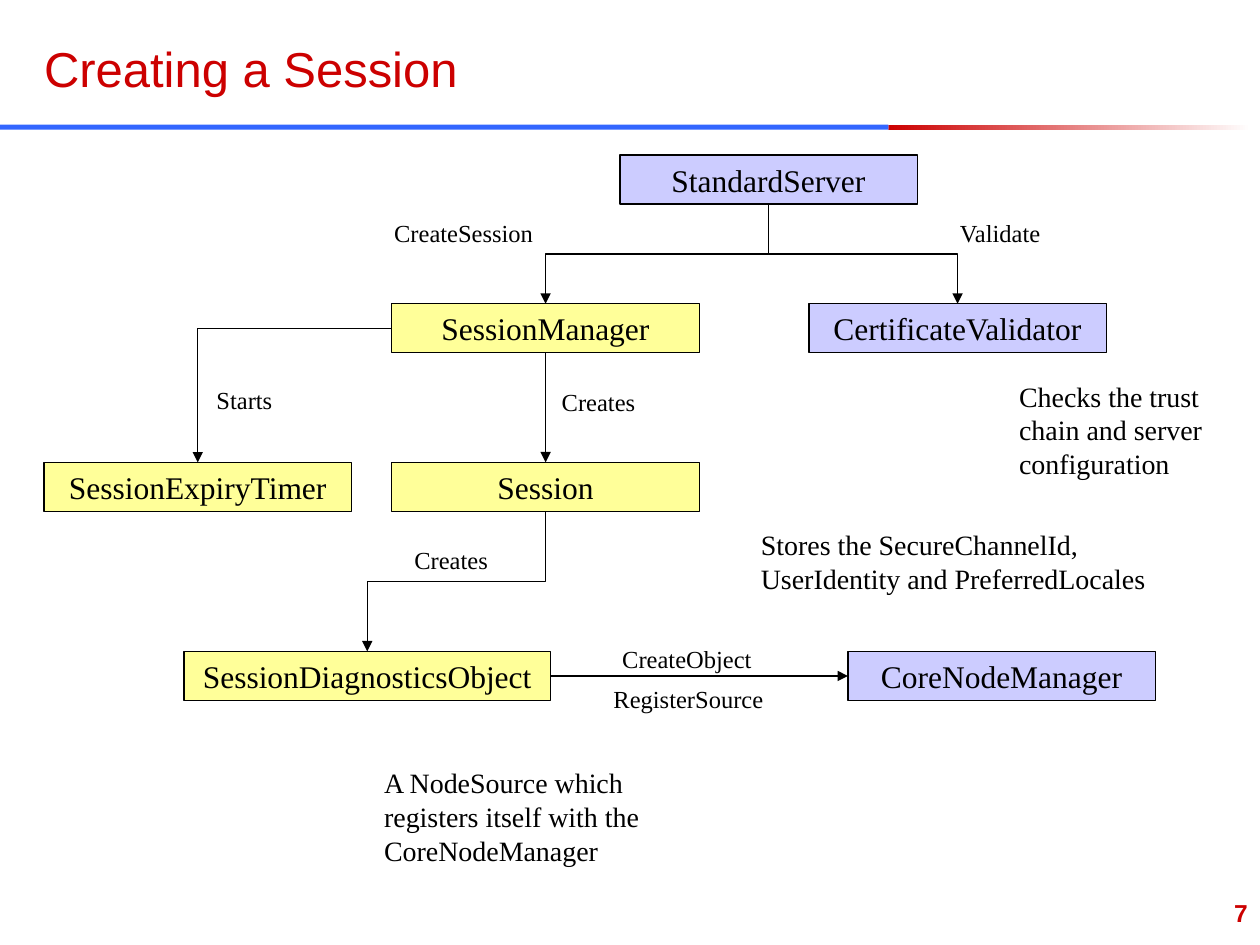
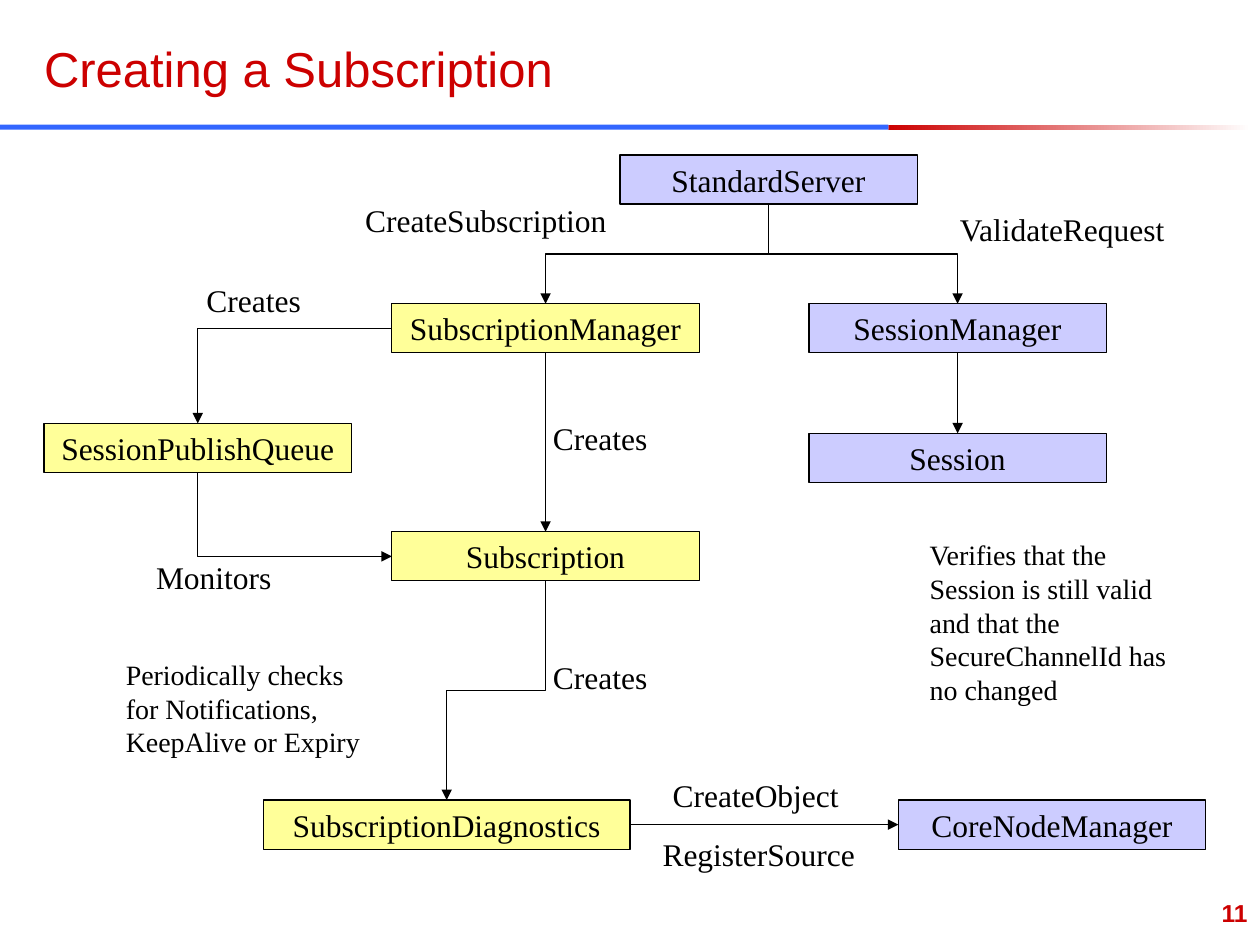
from pptx import Presentation
from pptx.dml.color import RGBColor
from pptx.enum.shapes import MSO_CONNECTOR, MSO_SHAPE
from pptx.enum.text import MSO_ANCHOR, MSO_AUTO_SIZE, PP_ALIGN
from pptx.oxml.ns import qn
from pptx.oxml.xmlchemy import OxmlElement
from pptx.util import Inches, Pt

RECT = MSO_SHAPE.RECTANGLE
STRAIGHT, ELBOW = MSO_CONNECTOR.STRAIGHT, MSO_CONNECTOR.ELBOW
LEFT, CENTER, RIGHT = PP_ALIGN.LEFT, PP_ALIGN.CENTER, PP_ALIGN.RIGHT
TOP_ANCHOR, MIDDLE = MSO_ANCHOR.TOP, MSO_ANCHOR.MIDDLE
FIT_SHAPE = MSO_AUTO_SIZE.SHAPE_TO_FIT_TEXT

COLORS = {
    "red": "CC0000", "blue": "3366FF", "white": "FFFFFF", "black": "000000",
    "existing": "CCCCFF", "created": "FFFF99",
}
SANS, SERIF = "Arial", "Times New Roman"
WIDTH, HEIGHT = 10, 7.5
BAND_TOP, BAND_HEIGHT, BAND_SPLIT, BAND_END = 0.99, 0.04, 7.05, 9.93
BOX_HEIGHT = 0.39
LABEL_SLACK = 0.03
SIDES = {"top": 0, "left": 1, "bottom": 2, "right": 3}

# Column: left edge and width
COLUMNS = {
    "left": (0.35, 2.44), "middle": (3.11, 2.44),
    "server": (4.92, 2.36), "right": (6.42, 2.36),
}
SERVER_TOP, MANAGER_TOP = 1.23, 2.41

# boxes: text, column or (left, width), top, kind
# arrows: from box, side, to box, side
# labels: text, left, top, text width;  notes: text, left, top, width, height
SLIDES = [
    {
        "title": "Creating a Session", "number": "7",
        "boxes": [
            ("StandardServer", "server", SERVER_TOP, "existing"),
            ("SessionManager", "middle", MANAGER_TOP, "created"),
            ("CertificateValidator", "right", MANAGER_TOP, "existing"),
            ("SessionExpiryTimer", "left", 3.67, "created"),
            ("Session", "middle", 3.67, "created"),
            ("SessionDiagnosticsObject", (1.46, 2.91), 5.17, "created"),
            ("CoreNodeManager", (6.73, 2.44), 5.17, "existing"),
        ],
        "arrows": [
            ("StandardServer", "bottom", "SessionManager", "top"),
            ("StandardServer", "bottom", "CertificateValidator", "top"),
            ("SessionManager", "left", "SessionExpiryTimer", "top"),
            ("SessionManager", "bottom", "Session", "top"),
            ("Session", "bottom", "SessionDiagnosticsObject", "top"),
            ("SessionDiagnosticsObject", "right", "CoreNodeManager", "left"),
        ],
        "label_size": 14, "label_height": 0.34,
        "labels": [
            ("CreateSession", 3.03, 1.68, 1.3),
            ("Validate", 7.52, 1.68, 0.86),
            ("Starts", 1.62, 3.01, 0.64),
            ("Creates", 4.36, 3.02, 0.78),
            ("Creates", 3.19, 4.28, 0.78),
            ("CreateObject", 4.84, 5.06, 1.23),
            ("RegisterSource", 4.77, 5.38, 1.39),
        ],
        "notes": [
            ("Checks the trust chain and server configuration",
             7.99, 2.96, 1.69, 0.94),
            ("Stores the SecureChannelId,\nUserIdentity and PreferredLocales",
             5.94, 4.14, 3.39, 0.71),
            ("A NodeSource which registers itself with the CoreNodeManager",
             2.95, 6.03, 2.28, 0.94),
        ],
    },
    {
        "title": "Creating a Subscription", "number": "11",
        "boxes": [
            ("StandardServer", "server", SERVER_TOP, "existing"),
            ("SubscriptionManager", "middle", MANAGER_TOP, "created"),
            ("SessionManager", "right", MANAGER_TOP, "existing"),
            ("SessionPublishQueue", "left", 3.36, "created"),
            ("Session", "right", 3.44, "existing"),
            ("Subscription", "middle", 4.22, "created"),
            ("SubscriptionDiagnostics", (2.09, 2.91), 6.35, "created"),
            ("CoreNodeManager", (7.13, 2.44), 6.35, "existing"),
        ],
        "arrows": [
            ("StandardServer", "bottom", "SubscriptionManager", "top"),
            ("StandardServer", "bottom", "SessionManager", "top"),
            ("SubscriptionManager", "left", "SessionPublishQueue", "top"),
            ("SubscriptionManager", "bottom", "Subscription", "top"),
            ("SessionManager", "bottom", "Session", "top"),
            ("SessionPublishQueue", "bottom", "Subscription", "left"),
            ("Subscription", "bottom", "SubscriptionDiagnostics", "top"),
            ("SubscriptionDiagnostics", "right", "CoreNodeManager", "left"),
        ],
        "label_size": 18, "label_height": 0.4,
        "labels": [
            ("CreateSubscription", 2.8, 1.55, 2.11),
            ("ValidateRequest", 7.52, 1.62, 1.85),
            ("Creates", 1.54, 2.18, 0.95),
            ("Creates", 4.29, 3.28, 0.95),
            ("Monitors", 1.14, 4.38, 1.11),
            ("Creates", 4.29, 5.17, 0.95),
            ("CreateObject", 5.24, 6.11, 1.52),
            ("RegisterSource", 5.16, 6.58, 1.72),
        ],
        "notes": [
            ("Verifies that the Session is still valid and that the "
             "SecureChannelId has no changed", 7.28, 4.22, 2.19, 1.42),
            ("Periodically checks for Notifications, KeepAlive or Expiry",
             0.9, 5.17, 2.13, 1.02),
        ],
    },
]


def rgb(name):
    return RGBColor.from_string(COLORS[name])


def inches(*lengths):
    return [Inches(n) for n in lengths]


def write(sp, text, size, font=SERIF, color="black", align=LEFT,
          anchor=TOP_ANCHOR, wrap=True, bold=False):
    tf = sp.text_frame
    tf.text = text
    tf.word_wrap = wrap
    tf.vertical_anchor = anchor
    for p in tf.paragraphs:
        p.alignment = align
        for r in p.runs:
            r.font.name, r.font.size, r.font.bold = font, Pt(size), bold
            r.font.color.rgb = rgb(color)


def add_text(slide, at, text, size, **style):
    sp = slide.shapes.add_textbox(*inches(*at))
    write(sp, text, size, **style)
    return sp


def add_label(slide, text, left, top, width, height, size):
    """One line of text in a box that grows with it."""
    sp = add_text(slide, (left, top, width + LABEL_SLACK, height), text, size, wrap=False)
    sp.text_frame.auto_size = FIT_SHAPE


def add_rect(slide, *at):
    sp = slide.shapes.add_shape(RECT, *inches(*at))
    sp.shadow.inherit = False
    return sp


def add_frame(slide, title, number):
    """Title, two-part band and page number."""
    fade = add_rect(slide, BAND_SPLIT, BAND_TOP, BAND_END - BAND_SPLIT, BAND_HEIGHT)
    fade.fill.gradient()
    fade.fill.gradient_angle = 0
    for stop, color, position in zip(fade.fill.gradient_stops, ("red", "white"), (0, 1)):
        stop.color.rgb, stop.position = rgb(color), position
    bar = add_rect(slide, 0, BAND_TOP, BAND_SPLIT, BAND_HEIGHT)
    bar.fill.solid()
    bar.fill.fore_color.rgb = rgb("blue")
    for sp in (fade, bar):
        sp.line.fill.background()

    sp = slide.shapes.title
    sp.left, sp.top, sp.width, sp.height = inches(0.25, 0.25, 6.83, 0.58)
    write(sp, title, 28, SANS, "red", anchor=MIDDLE)
    add_text(slide, (WIDTH - 2.08, HEIGHT - 0.42, 2.08, 0.42), number, 14,
             font=SANS, color="red", align=RIGHT, bold=True)


def add_box(slide, text, column, top, kind):
    left, width = COLUMNS.get(column, column)
    sp = add_rect(slide, left, top, width, BOX_HEIGHT)
    sp.fill.solid()
    sp.fill.fore_color.rgb = rgb(kind)
    sp.line.color.rgb, sp.line.width = rgb("black"), Pt(0.75)
    write(sp, text, 18, align=CENTER, anchor=MIDDLE, wrap=False)
    return sp


def turn_down(c):
    """Rotate an elbow so that it leaves its start downwards."""
    x1, y1, x2, y2 = c.begin_x, c.begin_y, c.end_x, c.end_y
    across, down = abs(x2 - x1), y2 - y1
    c.left, c.top = (x1 + x2 - down) // 2, (y1 + y2 - across) // 2
    c.width, c.height = down, across
    xfrm = c.element.spPr.xfrm
    xfrm.rot, xfrm.flipH, xfrm.flipV = 90, False, x2 > x1


def add_arrow(slide, start, start_side, end, end_side):
    same_axis = SIDES[start_side] % 2 == SIDES[end_side] % 2
    aligned = (abs(start.left + start.width / 2 - end.left - end.width / 2) < Inches(0.02)
               or start.top == end.top)
    c = slide.shapes.add_connector(STRAIGHT if aligned else ELBOW, 0, 0, 0, 0)
    c.begin_connect(start, SIDES[start_side])
    c.end_connect(end, SIDES[end_side])
    spPr = c.element.spPr
    if not aligned:
        if not same_axis:
            spPr.find(qn("a:prstGeom")).set("prst", "bentConnector2")
        if start_side == "bottom":
            turn_down(c)
    c.line.color.rgb, c.line.width = rgb("black"), Pt(0.75)
    head = OxmlElement("a:tailEnd")
    head.set("type", "triangle")
    spPr.find(qn("a:ln")).append(head)
    spPr.append(OxmlElement("a:effectLst"))


def build_slide(prs, content):
    slide = prs.slides.add_slide(prs.slide_layouts[5])
    add_frame(slide, content["title"], content["number"])
    boxes = {box[0]: add_box(slide, *box) for box in content["boxes"]}
    for start, start_side, end, end_side in content["arrows"]:
        add_arrow(slide, boxes[start], start_side, boxes[end], end_side)
    for label in content["labels"]:
        add_label(slide, *label, content["label_height"], content["label_size"])
    for text, *at in content["notes"]:
        add_text(slide, at, text, 16)


def main():
    prs = Presentation()
    prs.slide_width, prs.slide_height = inches(WIDTH, HEIGHT)
    for content in SLIDES:
        build_slide(prs, content)
    prs.save("out.pptx")


if __name__ == "__main__":
    main()
